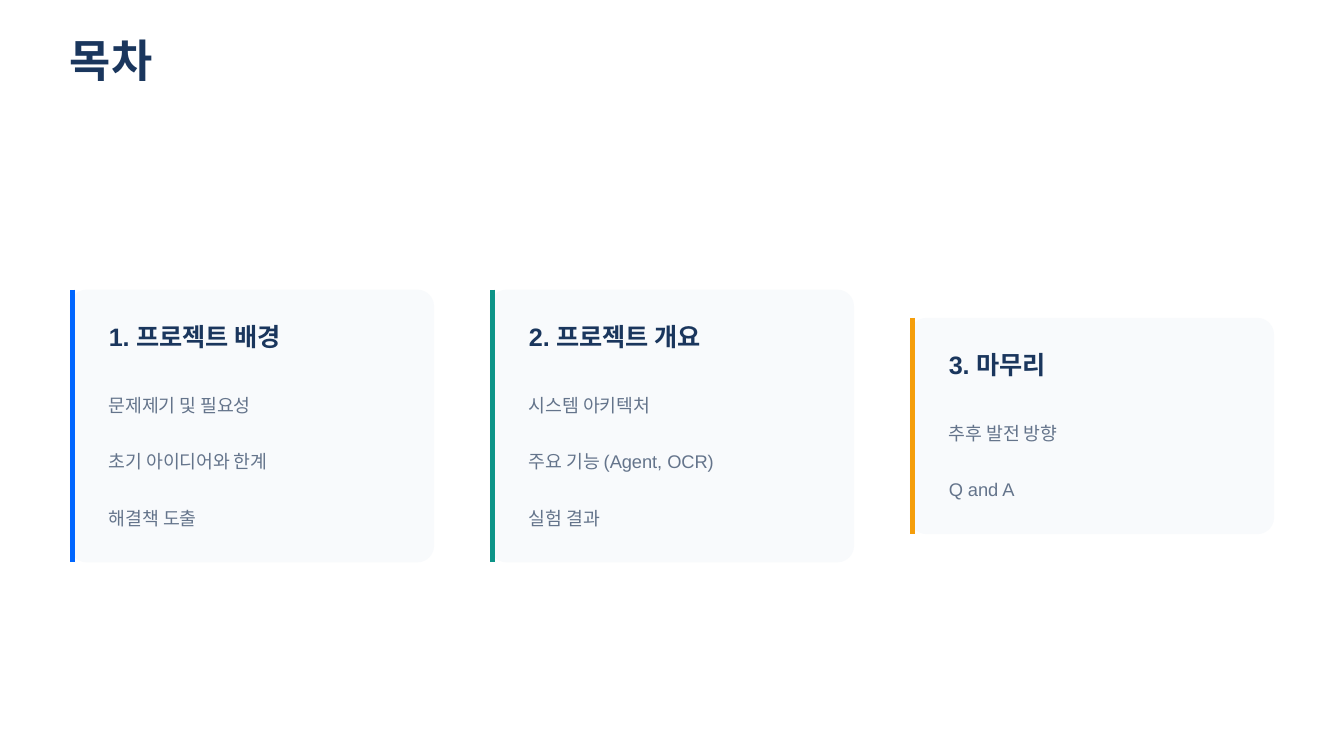
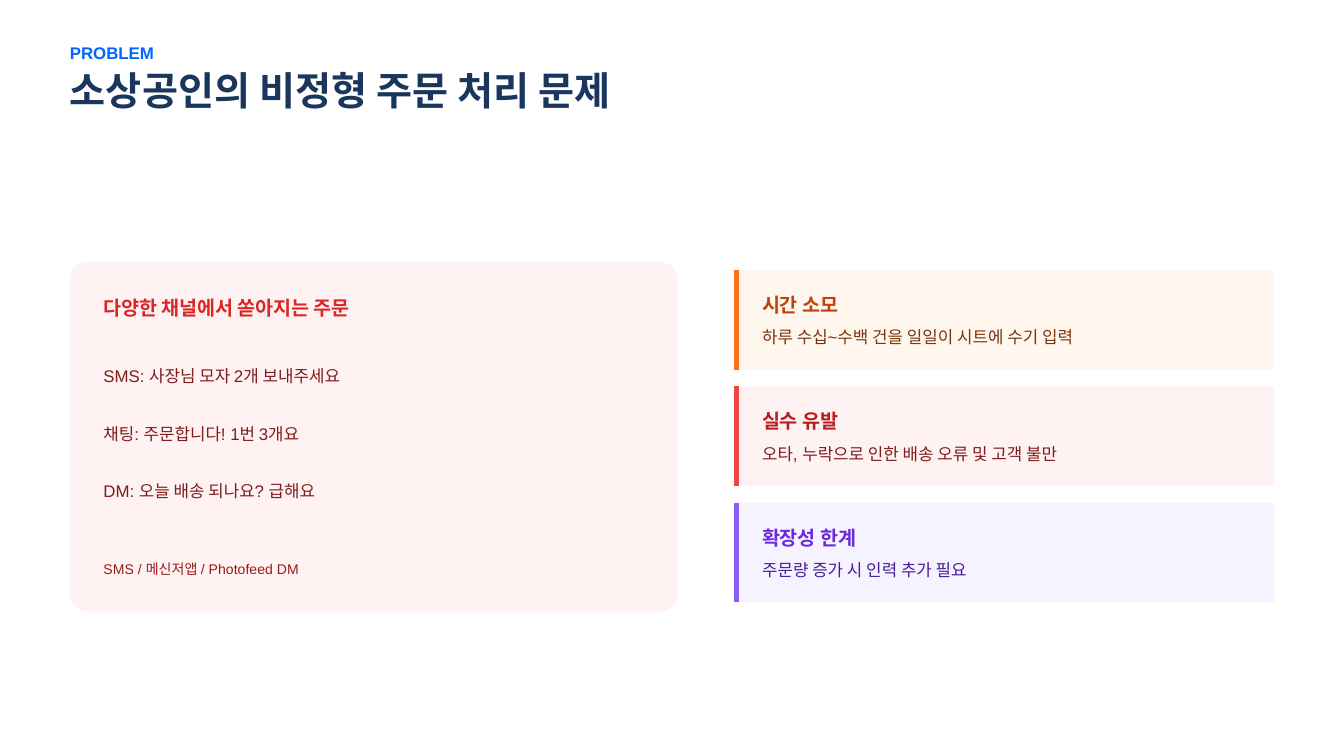
from dataclasses import dataclass

from lxml.etree import SubElement
from pptx import Presentation
from pptx.dml.color import RGBColor
from pptx.enum.shapes import MSO_CONNECTOR, MSO_SHAPE
from pptx.enum.text import MSO_ANCHOR, MSO_AUTO_SIZE, PP_ALIGN
from pptx.oxml.ns import qn
from pptx.util import Inches, Pt


@dataclass(frozen=True)
class Theme:
    font: str = "Arial"
    background: str = "FFFFFF"
    navy: str = "1A365D"
    slate: str = "64748B"
    card: str = "F8FAFC"
    blue: str = "0066FF"
    teal: str = "0D9488"
    amber: str = "F59E0B"
    rose: str = "FEF2F2"
    red: str = "DC2626"
    maroon: str = "7F1D1D"
    crimson: str = "991B1B"
    contents_title: float = 24
    problem_title: float = 21
    card_heading: float = 13.5
    heading: float = 10.5
    item: float = 9.75
    body: float = 9
    small: float = 7.5
    accent_width: float = 3


THEME = Theme()
MARGIN = 0.52
CONTENT_WIDTH = 8.96
CORNER_RADIUS = 0.125

CONTENTS = [
    ("1. 프로젝트 배경", 1.41, THEME.blue,
     ["문제제기 및 필요성", "초기 아이디어와 한계", "해결책 도출"]),
    ("2. 프로젝트 개요", 1.41, THEME.teal,
     ["시스템 아키텍처", "주요 기능 (Agent, OCR)", "실험 결과"]),
    ("3. 마무리", 1.12, THEME.amber, ["추후 발전 방향", "Q and A"]),
]
MESSAGES = [
    "SMS: 사장님 모자 2개 보내주세요",
    "채팅: 주문합니다! 1번 3개요",
    "DM: 오늘 배송 되나요? 급해요",
]
# Heading, body, fill, accent, heading colour, body colour
ISSUES = [
    ("시간 소모", "하루 수십~수백 건을 일일이 시트에 수기 입력",
     "FFF7ED", "F97316", "C2410C", "78350F"),
    ("실수 유발", "오타, 누락으로 인한 배송 오류 및 고객 불만",
     THEME.rose, "EF4444", "B91C1C", THEME.maroon),
    ("확장성 한계", "주문량 증가 시 인력 추가 필요",
     "F5F3FF", "8B5CF6", "6D28D9", "4C1D95"),
]


# Shared parts

def write_text(shape, text, size, color, bold=False, line_spacing=None):
    frame = shape.text_frame
    frame.word_wrap = True
    frame.auto_size = MSO_AUTO_SIZE.NONE
    frame.vertical_anchor = MSO_ANCHOR.TOP
    frame.margin_left = frame.margin_right = 0
    frame.margin_top = frame.margin_bottom = 0
    paragraph = frame.paragraphs[0]
    paragraph.alignment = PP_ALIGN.LEFT
    if line_spacing:
        paragraph.line_spacing = Pt(line_spacing)
    run = paragraph.add_run()
    run.text = text
    run.font.name = THEME.font
    run.font.size = Pt(size)
    run.font.bold = bold
    run.font.color.rgb = RGBColor.from_string(color)


def add_text(slide, left, top, width, height, text, size, color, **style):
    box = slide.shapes.add_textbox(
        Inches(left), Inches(top), Inches(width), Inches(height))
    write_text(box, text, size, color, **style)


def add_panel(slide, left, top, width, height, fill, rounded=False):
    kind = MSO_SHAPE.ROUNDED_RECTANGLE if rounded else MSO_SHAPE.RECTANGLE
    panel = slide.shapes.add_shape(
        kind, Inches(left), Inches(top), Inches(width), Inches(height))
    if rounded:
        panel.adjustments[0] = CORNER_RADIUS / min(width, height)
    panel.shadow.inherit = False
    panel.fill.solid()
    panel.fill.fore_color.rgb = RGBColor.from_string(fill)
    panel.line.fill.background()


def add_accent(slide, left, top, height, color):
    """Draw the coloured edge just inside a panel's left side."""
    x = Inches(left + 0.02)
    accent = slide.shapes.add_connector(
        MSO_CONNECTOR.STRAIGHT, x, Inches(top), x, Inches(top + height))
    accent.line.color.rgb = RGBColor.from_string(color)
    accent.line.width = Pt(THEME.accent_width)
    SubElement(accent._element.spPr, qn("a:effectLst"))


def add_titled_slide(presentation, title, top, height, size):
    slide = presentation.slides.add_slide(presentation.slide_layouts[5])
    slide.background.fill.solid()
    slide.background.fill.fore_color.rgb = RGBColor.from_string(THEME.background)
    shape = slide.shapes.title
    shape.left, shape.top = Inches(MARGIN), Inches(top)
    shape.width, shape.height = Inches(4.58), Inches(height)
    write_text(shape, title, size, THEME.navy, bold=True, line_spacing=size)
    return slide


# Contents slide

def add_contents_card(slide, left, middle, width, section):
    heading, heading_width, accent, items = section
    pitch = 0.42
    height = 0.77 + pitch * len(items)
    top = middle - height / 2
    add_panel(slide, left, top, width, height, THEME.card, rounded=True)
    add_accent(slide, left, top, height, accent)
    add_text(slide, left + 0.29, top + 0.25, heading_width, 0.21, heading,
             THEME.card_heading, THEME.navy, bold=True, line_spacing=15)
    for index, item in enumerate(items):
        add_text(slide, left + 0.29, top + 0.75 + pitch * index, width - 0.5, 0.19,
                 item, THEME.item, THEME.slate, line_spacing=13.7)


def build_contents_slide(presentation):
    slide = add_titled_slide(presentation, "목차", 0.31, 0.33, THEME.contents_title)
    width = 2.71
    pitch = (CONTENT_WIDTH - width) / (len(CONTENTS) - 1)
    for index, section in enumerate(CONTENTS):
        add_contents_card(slide, MARGIN + pitch * index, 3.17, width, section)


# Problem slide

def add_order_panel(slide, left, top, width, height):
    text_left, text_width = left + 0.25, width - 0.42
    add_panel(slide, left, top, width, height, THEME.rose, rounded=True)
    add_text(slide, text_left, top + 0.25, text_width, 0.17,
             "다양한 채널에서 쏟아지는 주문", THEME.heading, THEME.red,
             bold=True, line_spacing=12.6)
    pitch = 0.85 / (len(MESSAGES) - 1)
    for index, message in enumerate(MESSAGES):
        add_text(slide, text_left, top + 0.75 + pitch * index, text_width, 0.17,
                 message, THEME.body, THEME.maroon, line_spacing=12.6)
    add_text(slide, text_left, top + height - 0.4, text_width, 0.15,
             "SMS / 메신저앱 / Photofeed DM", THEME.small, THEME.crimson,
             line_spacing=10.5)


def add_issue(slide, left, top, width, height, issue):
    heading, body, fill, accent, heading_color, body_color = issue
    add_panel(slide, left, top, width, height, fill)
    add_accent(slide, left, top, height, accent)
    add_text(slide, left + 0.21, top + 0.17, width - 0.3, 0.19,
             heading, THEME.heading, heading_color, bold=True)
    add_text(slide, left + 0.21, top + 0.4, width - 0.3, 0.17,
             body, THEME.body, body_color, line_spacing=12.6)


def add_issue_stack(slide, left, top, width, height):
    row_height = 0.74
    pitch = (height - row_height) / (len(ISSUES) - 1)
    for index, issue in enumerate(ISSUES):
        add_issue(slide, left, top + pitch * index, width, row_height, issue)


def build_problem_slide(presentation):
    slide = add_titled_slide(presentation, "소상공인의 비정형 주문 처리 문제",
                             0.55, 0.29, THEME.problem_title)
    add_text(slide, MARGIN, 0.29, 9.14, 0.17, "PROBLEM", THEME.body, THEME.blue,
             bold=True, line_spacing=12.6)
    add_order_panel(slide, MARGIN, 1.95, 4.52, 2.6)
    add_issue_stack(slide, 5.46, 2.01, 4.02, 2.47)


def main():
    presentation = Presentation()
    # Widescreen, 16 to 9
    presentation.slide_width = Inches(10)
    presentation.slide_height = Inches(10 * 9 / 16)
    build_contents_slide(presentation)
    build_problem_slide(presentation)
    presentation.save("out.pptx")


if __name__ == "__main__":
    main()
